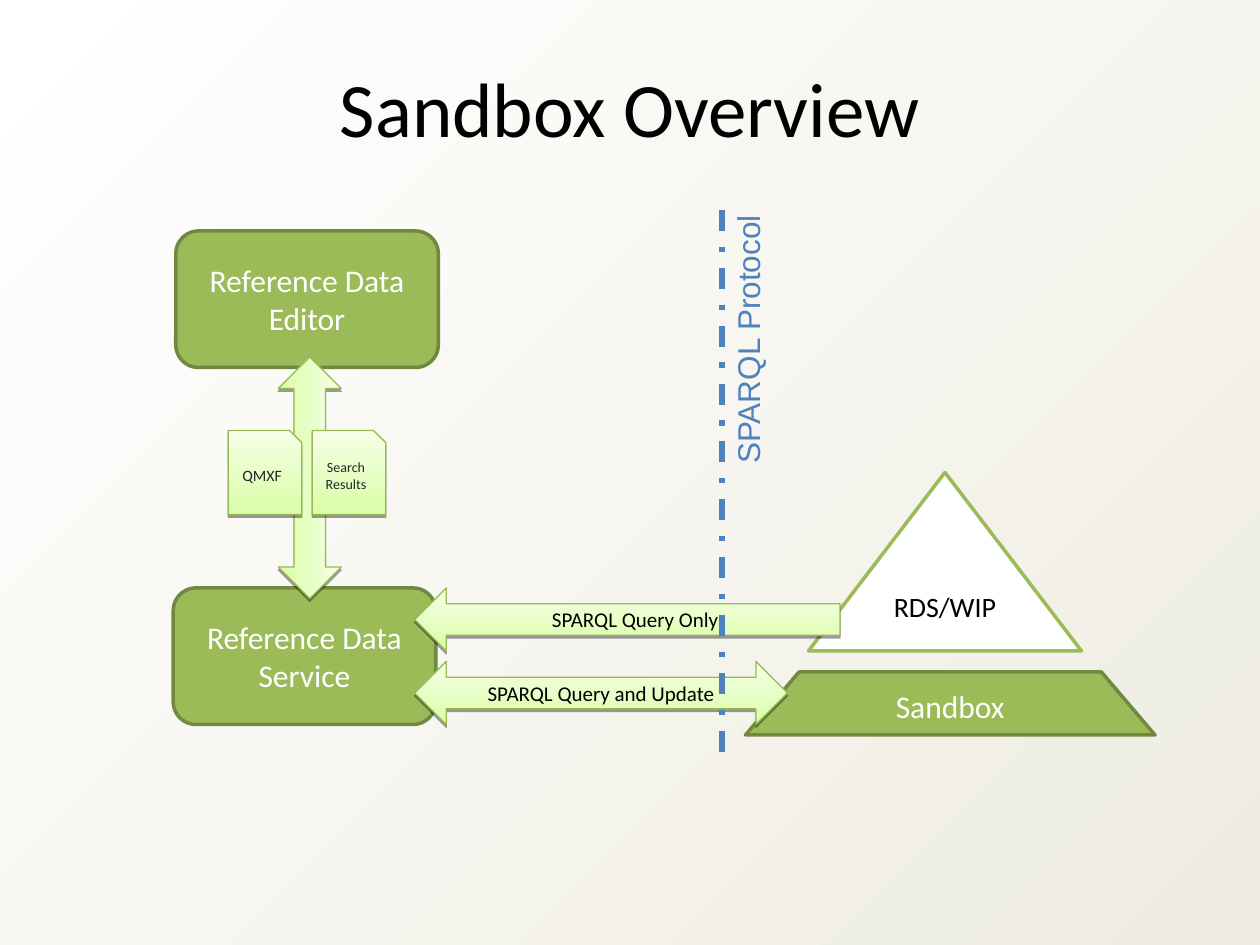
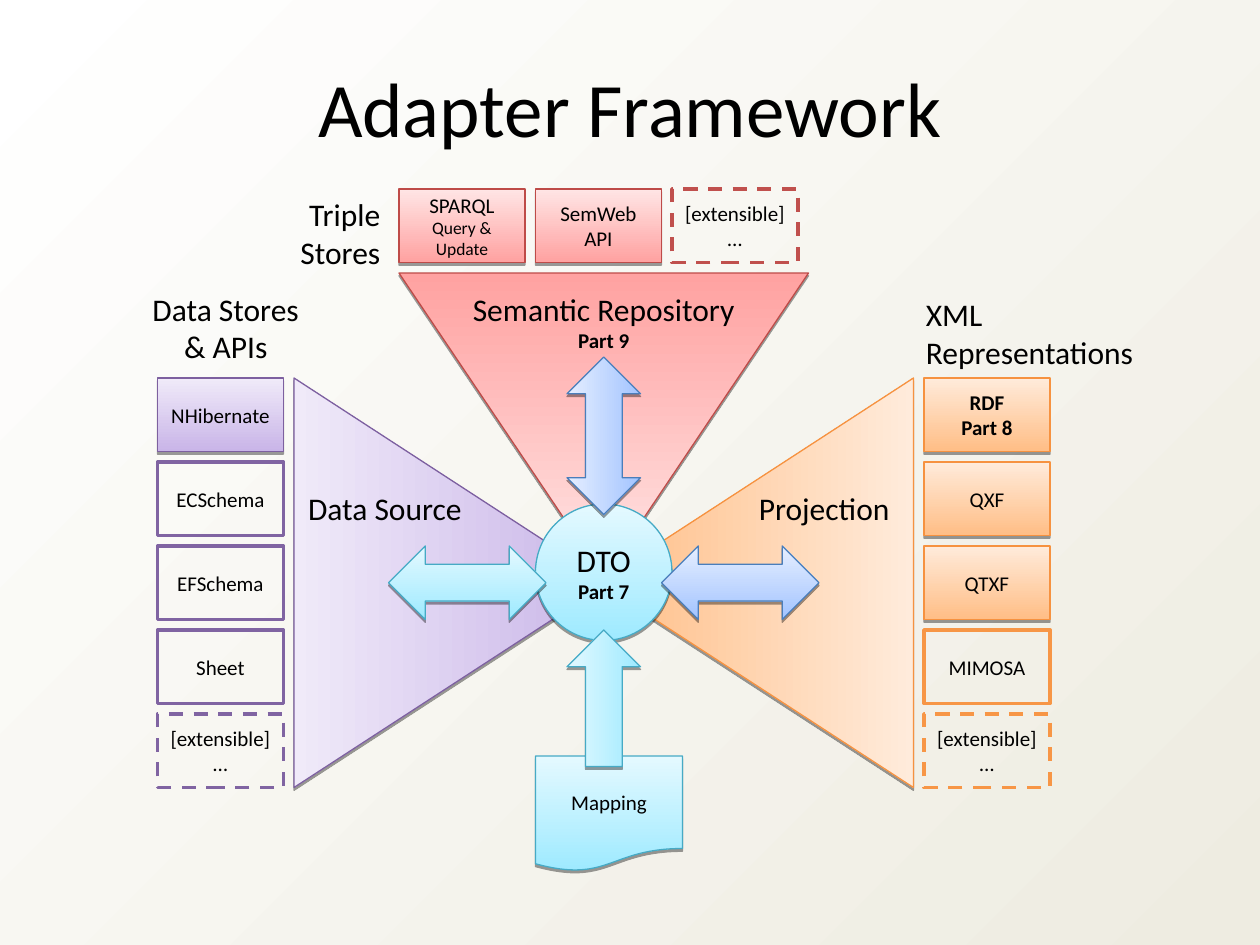
import pptx
import pptx.util
import pptx.dml.color
import pptx.enum.dml
import pptx.enum.shapes
import pptx.enum.text
import pptx.oxml
import pptx.oxml.ns

RGB = pptx.dml.color.RGBColor
SHAPE = pptx.enum.shapes.MSO_SHAPE
ALIGN = pptx.enum.text.PP_ALIGN
ANCHOR = pptx.enum.text.MSO_ANCHOR
DASH = pptx.enum.dml.MSO_LINE

BLACK = RGB(0x00, 0x00, 0x00)
WHITE = RGB(0xFF, 0xFF, 0xFF)
INK = RGB(0x26, 0x26, 0x26)
IVORY = RGB(0xEE, 0xEC, 0xE1)
GREEN = RGB(0x9B, 0xBB, 0x59)
GREEN_EDGE = RGB(0x71, 0x89, 0x3F)
BLUE = RGB(0x4F, 0x81, 0xBD)
RED = RGB(0xC0, 0x50, 0x4D)
PURPLE = RGB(0x80, 0x64, 0xA2)
ORANGE = RGB(0xF7, 0x96, 0x46)

# Shaded styles: strong colour, pale colour, edge colour
LIME_SHADE = (RGB(0xDA, 0xFD, 0xA7), RGB(0xF5, 0xFF, 0xE6), RGB(0x98, 0xB9, 0x54))
RED_SHADE = (RGB(0xFF, 0xA2, 0xA1), RGB(0xFF, 0xE5, 0xE5), RGB(0xBE, 0x4B, 0x48))
PURPLE_SHADE = (RGB(0xC9, 0xB5, 0xE8), RGB(0xF0, 0xEA, 0xF9), RGB(0x7D, 0x60, 0xA0))
ORANGE_SHADE = (RGB(0xFF, 0xBE, 0x86), RGB(0xFF, 0xEB, 0xDB), RGB(0xF6, 0x92, 0x40))
CYAN_SHADE = (RGB(0x9E, 0xEA, 0xFF), RGB(0xE4, 0xF9, 0xFF), RGB(0x46, 0xAA, 0xC5))
BLUE_SHADE = (RGB(0xA3, 0xC4, 0xFF), RGB(0xE5, 0xEE, 0xFF), RGB(0x4A, 0x7E, 0xBB))

SHADOW = (
    '<a:outerShdw %s blurRad="0" dist="20000" dir="5400000" rotWithShape="0">'
    '<a:srgbClr val="000000"><a:alpha val="38000"/></a:srgbClr></a:outerShdw>'
    % pptx.oxml.ns.nsdecls("a")
)

# The slide is a grid of 120 columns by 90 rows
deck = pptx.Presentation()
deck.slide_width = pptx.util.Inches(10)
deck.slide_height = pptx.util.Inches(7.5)
CELL = deck.slide_width // 120


def write(box, runs, color=BLACK, align=ALIGN.CENTER, anchor=ANCHOR.MIDDLE, font="Calibri"):
    """Fill a box with (text, size, bold) runs; \\n starts a paragraph, \\v a line."""
    frame = box.text_frame
    frame.word_wrap = True
    frame.vertical_anchor = anchor
    para = frame.paragraphs[0]
    para.alignment = align
    for text, size, bold in runs:
        for block_index, block in enumerate(text.split("\n")):
            if block_index:
                para = frame.add_paragraph()
                para.alignment = align
            for line_index, line in enumerate(block.split("\v")):
                if line_index:
                    para.add_line_break()
                if not line:
                    continue
                span = para.add_run()
                span.text = line
                style = {"name": font, "size": pptx.util.Pt(size), "bold": bold}
                for name, value in style.items():
                    setattr(span.font, name, value)
                span.font.color.rgb = color


def draw(page, kind, cells, shade=None, fill=None, edge=None, turn=0, dash=None):
    """Add a shape on grid cells, either shaded with a shadow or flat."""
    box = page.shapes.add_shape(kind, *[round(cell * CELL) for cell in cells])
    box.rotation = turn
    box.shadow.inherit = False
    if shade:
        strong, pale, edge = shade
        box.fill.gradient()
        # The strong colour lies at the foot, or at the head of a sideways shape
        box.fill.gradient_angle = 270 if turn in (90, 270) else 90
        for stop, color in zip(box.fill.gradient_stops, (strong, pale)):
            stop.color.rgb = color
        effects = box._element.spPr.find(pptx.oxml.ns.qn("a:effectLst"))
        effects.append(pptx.oxml.parse_xml(SHADOW))
    elif fill:
        box.fill.solid()
        box.fill.fore_color.rgb = fill
    else:
        box.fill.background()
    box.line.color.rgb = edge
    box.line.width = pptx.util.Pt(0.75 if shade else 2)
    if dash:
        box.line.dash_style = dash
    return box


# Shared background
backdrop = deck.slide_master.background.fill
backdrop.gradient()
backdrop.gradient_angle = 315
for stop, color in zip(backdrop.gradient_stops, (WHITE, IVORY)):
    stop.color.rgb = color

# Both pages with their titles
pages = []
for heading in ("Sandbox Overview", "Adapter Framework"):
    page = deck.slides.add_slide(deck.slide_layouts[5])
    title = page.shapes.title
    frame_place = {"left": 2, "top": 5.2, "width": 116, "height": 10}
    for name, cells in frame_place.items():
        setattr(title, name, round(cells * CELL))
    write(title, [(heading, 44, False)], anchor=ANCHOR.TOP)
    pages.append(page)
overview, framework = pages

# Overview: store and sandbox
store = draw(overview, SHAPE.ISOSCELES_TRIANGLE, (77, 45, 26, 17), fill=WHITE, edge=GREEN)
write(store, [("RDS/WIP", 16, False)])
sandbox = draw(overview, SHAPE.TRAPEZOID, (71, 64, 39, 6), fill=GREEN, edge=GREEN_EDGE)
sandbox.adjustments[0] = 0.85
write(sandbox, [("Sandbox", 18, False)], WHITE)

# Overview: editor and service
for label, left, top in (
    ("Reference Data Editor", 16.75, 22),
    ("Reference Data Service", 16.5, 56),
):
    box = draw(overview, SHAPE.ROUNDED_RECTANGLE, (left, top, 25, 13), fill=GREEN, edge=GREEN_EDGE)
    write(box, [(label, 18, False)], WHITE)

# Overview: exchange arrows
draw(overview, SHAPE.LEFT_RIGHT_ARROW, (18, 42.5, 23, 6), LIME_SHADE, turn=270)
for label, kind, top, width in (
    ("SPARQL Query and Update", SHAPE.LEFT_RIGHT_ARROW, 63, 35.5),
    ("SPARQL Query Only", SHAPE.LEFT_ARROW, 56, 40.5),
):
    arrow = draw(overview, kind, (39.5, top, width, 6), LIME_SHADE)
    write(arrow, [(label, 12, False)])

# Overview: protocol boundary
boundary = overview.shapes.add_connector(
    pptx.enum.shapes.MSO_CONNECTOR.STRAIGHT,
    *[round(cells * CELL) for cells in (68.75, 20, 68.75, 73)]
)
boundary.line.color.rgb = BLUE
boundary.line.width = pptx.util.Pt(3)
boundary.line.dash_style = DASH.DASH_DOT
boundary._element.spPr.append(
    pptx.oxml.parse_xml("<a:effectLst %s/>" % pptx.oxml.ns.nsdecls("a"))
)
protocol = overview.shapes.add_textbox(
    *[round(cells * CELL) for cells in (58, 29.75, 26.4, 4.8)]
)
protocol.rotation = 270
write(protocol, [("SPARQL Protocol", 18, False)], BLUE, ALIGN.LEFT, ANCHOR.TOP, "Arial")

# Overview: exchanged documents
for label, size, left in (("QMXF", 9, 21.75), ("Search Results", 8, 29.75)):
    document = draw(overview, SHAPE.SNIP_1_RECTANGLE, (left, 41, 7, 8), LIME_SHADE)
    write(document, [(label, size, False)], INK)

# Framework: three wedges pointing at the hub
for cells, shade, turn in (
    ((38, 26, 39, 29), RED_SHADE, 180),
    ((23.5, 40.5, 39, 30), PURPLE_SHADE, 90),
    ((52.5, 40.5, 39, 30), ORANGE_SHADE, 270),
):
    draw(framework, SHAPE.ISOSCELES_TRIANGLE, cells, shade, turn=turn)

# Framework: wedge names and group headings
for runs, cells, align in (
    ([("Semantic Repository\v", 18, False), ("Part 9", 12, True)], (42, 27, 31, 7.2), ALIGN.CENTER),
    ([("Projection", 18, False)], (70, 46, 17, 4.8), ALIGN.CENTER),
    ([("Data Source", 18, False)], (27.66, 46, 18, 4.8), ALIGN.CENTER),
    ([("XML\vRepresentations", 18, False)], (87, 27.5, 23, 8.4), ALIGN.LEFT),
    ([("Data Stores\v& APIs", 18, False)], (13, 27, 17, 8.4), ALIGN.CENTER),
    ([("Triple\vStores", 18, False)], (25.4, 18, 12, 8.4), ALIGN.RIGHT),
):
    box = framework.shapes.add_textbox(*[round(cell * CELL) for cell in cells])
    write(box, runs, align=align, anchor=ANCHOR.TOP)

# Framework: cards, shaded when available, outlined when planned, dashed when open
EXTENSIBLE = [("[extensible]\n…", 12, False)]
for left, top, step_x, step_y, shade, edge, shaded, cards in (
    (38, 18, 13, 0, RED_SHADE, RED, 2, [
        [("SPARQL ", 12, False), ("Query & Update", 10, False)],
        [("SemWeb API", 12, False)],
        EXTENSIBLE,
    ]),
    (15, 36, 0, 8, PURPLE_SHADE, PURPLE, 1, [
        [("NHibernate", 12, False)],
        [("ECSchema", 12, False)],
        [("EFSchema", 12, False)],
        [("Sheet", 12, False)],
        EXTENSIBLE,
    ]),
    (88, 36, 0, 8, ORANGE_SHADE, ORANGE, 3, [
        [("RDF\vPart 8", 12, True)],
        [("QXF", 12, False)],
        [("QTXF", 12, False)],
        [("MIMOSA", 12, False)],
        EXTENSIBLE,
    ]),
):
    for index, runs in enumerate(cards):
        card = draw(
            framework, SHAPE.RECTANGLE,
            (left + index * step_x, top + index * step_y, 12, 7),
            shade=shade if index < shaded else None,
            edge=edge,
            dash=DASH.DASH if runs is EXTENSIBLE else None,
        )
        write(card, runs)

# Framework: hub and mapping document
hub = draw(framework, SHAPE.OVAL, (51, 48, 13, 13), CYAN_SHADE)
write(hub, [("DTO\v", 18, False), ("Part 7", 12, True)])
mapping = draw(framework, SHAPE.FLOWCHART_DOCUMENT, (51, 72, 14, 11), CYAN_SHADE)
write(mapping, [("Mapping", 12, False)])

# Framework: arrows around the hub
for kind, cells, shade, turn in (
    (SHAPE.LEFT_RIGHT_ARROW, (37, 52, 15, 7), CYAN_SHADE, 0),
    (SHAPE.LEFT_RIGHT_ARROW, (63, 52, 15, 7), BLUE_SHADE, 0),
    (SHAPE.LEFT_RIGHT_ARROW, (50, 38, 15, 7), BLUE_SHADE, 90),
    (SHAPE.LEFT_ARROW, (51, 63, 13, 7), CYAN_SHADE, 90),
):
    draw(framework, kind, cells, shade, turn=turn)

deck.save("out.pptx")
